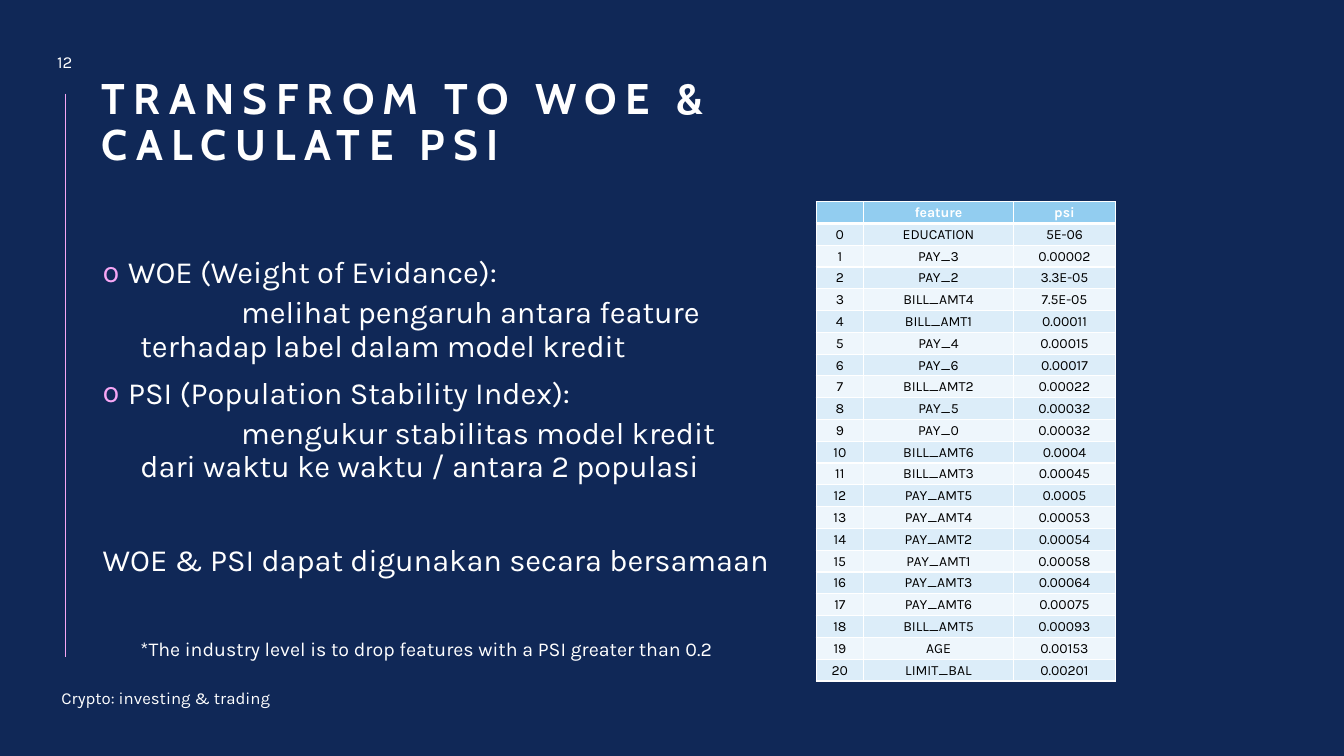
from lxml import etree
from pptx import Presentation
from pptx.dml.color import RGBColor
from pptx.enum.shapes import MSO_CONNECTOR
from pptx.enum.text import MSO_ANCHOR, MSO_AUTO_SIZE, PP_ALIGN
from pptx.oxml.ns import qn
from pptx.util import Cm, Pt

LEFT, CENTER = PP_ALIGN.LEFT, PP_ALIGN.CENTER
MIDDLE, TOP = MSO_ANCHOR.MIDDLE, MSO_ANCHOR.TOP
NO_AUTOFIT = MSO_AUTO_SIZE.NONE
STRAIGHT = MSO_CONNECTOR.STRAIGHT

NAVY, WHITE, BLACK, PINK = "102857", "FFFFFF", "000000", "F6A6F4"
HEADER_FILL, BAND_FILLS = "92CDF0", ("DCEDF9", "EEF6FC")
HEADING_FONT, BODY_FONT = "Cabin", "Karla"

TITLE_LINES = ["TRANSFROM TO WOE &", "CALCULATE PSI"]
PAGE_NUMBER = "12"
FOOTER = "Crypto: investing & trading"

# kind, space before in points, text
NOTES = [
    ("bullet", 0, "WOE (Weight of Evidance):"),
    ("detail", 5, "melihat pengaruh antara feature terhadap label dalam model kredit"),
    ("bullet", 10, "PSI (Population Stability Index):"),
    ("detail", 5, "mengukur stabilitas model kredit dari waktu ke waktu / antara 2 populasi"),
    ("plain", 43, "WOE & PSI dapat digunakan secara bersamaan"),
    ("remark", 44, "*The industry level is to drop features with a PSI greater than 0.2"),
]
# left margin in cm, first-line indent in cm, size in points
NOTE_STYLES = {
    "bullet": (0.64, -0.64, 22),
    "detail": (0.95, 2.54, 22),
    "plain": (0, 0, 22),
    "remark": (0.95, 0, 14),
}

HEADER = ("", "feature", "psi")
PSI_VALUES = [
    ("EDUCATION", "5E-06"), ("PAY_3", "0.00002"), ("PAY_2", "3.3E-05"),
    ("BILL_AMT4", "7.5E-05"), ("BILL_AMT1", "0.00011"), ("PAY_4", "0.00015"),
    ("PAY_6", "0.00017"), ("BILL_AMT2", "0.00022"), ("PAY_5", "0.00032"),
    ("PAY_0", "0.00032"), ("BILL_AMT6", "0.0004"), ("BILL_AMT3", "0.00045"),
    ("PAY_AMT5", "0.0005"), ("PAY_AMT4", "0.00053"), ("PAY_AMT2", "0.00054"),
    ("PAY_AMT1", "0.00058"), ("PAY_AMT3", "0.00064"), ("PAY_AMT6", "0.00075"),
    ("BILL_AMT5", "0.00093"), ("AGE", "0.00153"), ("LIMIT_BAL", "0.00201"),
]
COLUMN_WIDTHS = (1.19, 3.78, 2.57)
TABLE_LEFT, TABLE_TOP, TABLE_HEIGHT = 20.57, 5.08, 12.09


def color(code):
    return RGBColor.from_string(code)


def add_run(para, text, size, font=BODY_FONT, ink=WHITE, bold=False):
    span = para.add_run()
    span.text = text
    span.font.size = Pt(size)
    span.font.name = font
    span.font.bold = bold
    span.font.color.rgb = color(ink)
    return span


def add_box(slide, left, top, width, height, anchor):
    box = slide.shapes.add_textbox(Cm(left), Cm(top), Cm(width), Cm(height))
    box.text_frame.word_wrap = True
    box.text_frame.vertical_anchor = anchor
    return box.text_frame


def add_title(slide):
    title = slide.shapes.title
    title.left, title.top, title.width, title.height = Cm(2.31), Cm(2.31), Cm(30.23), Cm(2.97)
    frame = title.text_frame
    frame.auto_size = NO_AUTOFIT
    frame.vertical_anchor = MIDDLE
    frame.margin_bottom = Cm(1.47)
    para = frame.paragraphs[0]
    para.alignment = LEFT
    para.line_spacing = 0.9
    for index, line in enumerate(TITLE_LINES):
        if index:
            para.add_line_break()
        span = add_run(para, line, 30.6, HEADING_FONT, bold=True)
        span.font._element.set("spc", "600")


def add_bullet(properties):
    bullet_color = etree.SubElement(properties, qn("a:buClr"))
    etree.SubElement(bullet_color, qn("a:srgbClr"), val=PINK)
    etree.SubElement(properties, qn("a:buFont"), typeface=BODY_FONT)
    etree.SubElement(properties, qn("a:buChar"), char="o")


def add_notes(slide):
    frame = add_box(slide, 2.34, 5.08, 17.42, 12.09, TOP)
    frame.margin_top = Cm(1.4)
    for index, (kind, space, text) in enumerate(NOTES):
        para = frame.add_paragraph() if index else frame.paragraphs[0]
        margin, indent, size = NOTE_STYLES[kind]
        para.line_spacing = 0.9
        para.space_before = Pt(space)
        properties = para._p.get_or_add_pPr()
        properties.set("marL", str(Cm(margin)))
        properties.set("indent", str(Cm(indent)))
        if kind == "bullet":
            add_bullet(properties)
        add_run(para, text, size)


def add_borders(cell, bottom):
    """Draw white borders; the bottom width is in points."""
    properties = cell._tc.get_or_add_tcPr()
    for side, width in (("lnL", 1), ("lnR", 1), ("lnT", 1), ("lnB", bottom)):
        line = etree.SubElement(properties, qn(f"a:{side}"), w=str(Pt(width)))
        fill = etree.SubElement(line, qn("a:solidFill"))
        etree.SubElement(fill, qn("a:srgbClr"), val=WHITE)


def add_psi_table(slide):
    rows = [HEADER] + [(str(i), *pair) for i, pair in enumerate(PSI_VALUES)]
    table = slide.shapes.add_table(
        len(rows), len(HEADER), Cm(TABLE_LEFT), Cm(TABLE_TOP),
        Cm(sum(COLUMN_WIDTHS)), Cm(TABLE_HEIGHT)).table
    for column, width in zip(table.columns, COLUMN_WIDTHS):
        column.width = Cm(width)
    for r, values in enumerate(rows):
        table.rows[r].height = Cm(TABLE_HEIGHT / len(rows))
        is_header = r == 0
        for c, value in enumerate(values):
            cell = table.cell(r, c)
            # The first data row is r == 1, so each band follows r - 1.
            add_borders(cell, 3 if r == 0 else 1)
            cell.fill.solid()
            cell.fill.fore_color.rgb = color(HEADER_FILL if is_header else BAND_FILLS[(r - 1) % 2])
            cell.vertical_anchor = MIDDLE
            cell.margin_left = cell.margin_right = cell.margin_top = Cm(0.02)
            cell.margin_bottom = 0
            para = cell.text_frame.paragraphs[0]
            para.alignment = CENTER
            if value:
                add_run(para, value, 10, ink=WHITE if is_header else BLACK, bold=is_header)
            else:
                etree.SubElement(para._p, qn("a:endParaRPr"), sz="1000")


def add_side_line(slide):
    line = slide.shapes.add_connector(STRAIGHT, Cm(1.65), Cm(2.36), Cm(1.65), Cm(16.56))
    line.line.color.rgb = color(PINK)
    line.line.width = Pt(0.5)
    etree.SubElement(line._element.spPr, qn("a:effectLst"))


def main():
    deck = Presentation()
    deck.slide_width, deck.slide_height = Cm(33.87), Cm(19.05)
    slide = deck.slides.add_slide(deck.slide_layouts[5])
    slide.background.fill.solid()
    slide.background.fill.fore_color.rgb = color(NAVY)

    add_side_line(slide)
    add_title(slide)
    add_notes(slide)
    footer = add_box(slide, 1.3, 17.2, 6.48, 0.76, MIDDLE)
    add_run(footer.paragraphs[0], FOOTER, 12)
    number = add_box(slide, 0.91, 1.14, 1.45, 0.86, MIDDLE)
    number.paragraphs[0].alignment = CENTER
    add_run(number.paragraphs[0], PAGE_NUMBER, 12)
    add_psi_table(slide)
    deck.save("out.pptx")


if __name__ == "__main__":
    main()
